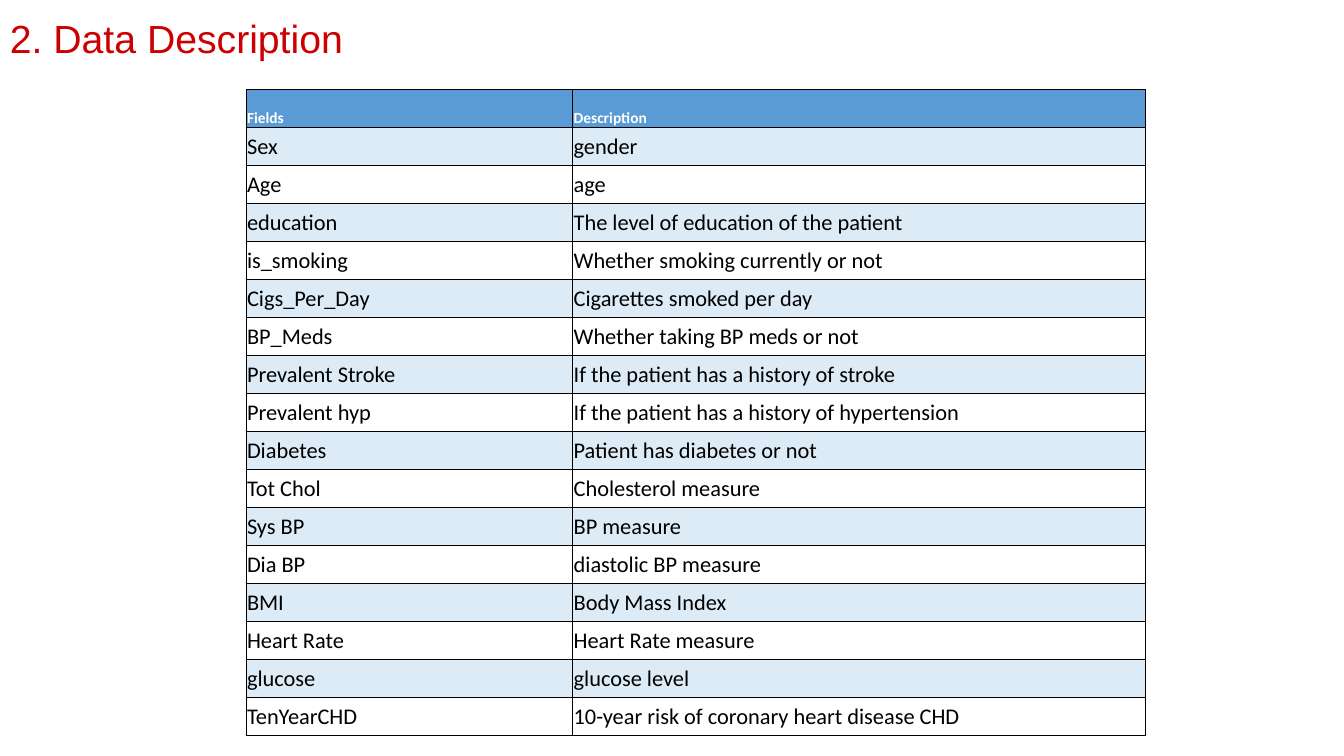
from lxml import etree
from pptx import Presentation
from pptx.dml.color import RGBColor
from pptx.enum import text
from pptx.oxml import ns
from pptx.util import Inches, Pt

TITLE = "2. Data Description"
ROWS = [
    ("Fields", "Description"),
    ("Sex", "gender"),
    ("Age", "age"),
    ("education", "The level of education of the patient"),
    ("is_smoking", "Whether smoking currently or not"),
    ("Cigs_Per_Day", "Cigarettes smoked per day"),
    ("BP_Meds", "Whether taking BP meds or not"),
    ("Prevalent Stroke", "If the patient has a history of stroke"),
    ("Prevalent hyp", "If the patient has a history of hypertension"),
    ("Diabetes", "Patient has diabetes or not"),
    ("Tot Chol", "Cholesterol measure"),
    ("Sys BP", "BP measure"),
    ("Dia BP", "diastolic BP measure"),
    ("BMI", "Body Mass Index"),
    ("Heart Rate", "Heart Rate measure"),
    ("glucose", "glucose level"),
    ("TenYearCHD", "10-year risk of coronary heart disease CHD"),
]
COLUMN_WIDTHS = [3.24, 5.68]
TABLE_LEFT, TABLE_TOP, TABLE_HEIGHT = 2.44, 0.89, 6.41
COLORS = {"title": "CC0000", "header": "5B9BD5", "band": "DDEBF7",
          "light": "FFFFFF", "ink": "000000"}


def set_font(paragraph, name, size, color, bold=False):
    font = paragraph.font
    font.name, font.size, font.bold = name, Pt(size), bold
    font.color.rgb = RGBColor.from_string(COLORS[color])


def add_borders(cell, color, points):
    properties = cell._tc.get_or_add_tcPr()
    for position, side in enumerate(("lnL", "lnR", "lnT", "lnB")):
        line = etree.Element(ns.qn(f"a:{side}"), w=str(Pt(points)))
        fill = etree.SubElement(line, ns.qn("a:solidFill"))
        etree.SubElement(fill, ns.qn("a:srgbClr"), val=COLORS[color])
        properties.insert(position, line)  # borders come before the fill


def fill_cell(cell, words, row_number):
    header = row_number == 0
    cell.text = words
    cell.margin_left = cell.margin_right = cell.margin_top = Inches(0.01)
    cell.margin_bottom = 0
    if header:
        cell.vertical_anchor = text.MSO_ANCHOR.BOTTOM
        set_font(cell.text_frame.paragraphs[0], "Calibri", 11, "light", bold=True)
    else:
        cell.vertical_anchor = text.MSO_ANCHOR.MIDDLE
        set_font(cell.text_frame.paragraphs[0], "Calibri", 16, "ink")
    if header or row_number % 2:
        cell.fill.solid()
        cell.fill.fore_color.rgb = RGBColor.from_string(
            COLORS["header" if header else "band"])
    else:
        cell.fill.background()
    add_borders(cell, "ink", 0.5)


def main():
    deck = Presentation()
    deck.slide_width, deck.slide_height = Inches(13.33), Inches(7.5)
    page = deck.slides.add_slide(deck.slide_layouts[6])

    # Title
    box = page.shapes.add_textbox(0, 0, Inches(12.42), Inches(0.84))
    frame = box.text_frame
    frame.word_wrap = True
    frame.margin_left = frame.margin_right = Inches(0.1)
    frame.margin_top = Inches(0.14)
    frame.text = TITLE
    set_font(frame.paragraphs[0], "Arial", 28, "title")

    # Field table
    table = page.shapes.add_table(
        len(ROWS), len(COLUMN_WIDTHS), Inches(TABLE_LEFT), Inches(TABLE_TOP),
        Inches(sum(COLUMN_WIDTHS)), Inches(TABLE_HEIGHT)).table
    for column, width in zip(table.columns, COLUMN_WIDTHS):
        column.width = Inches(width)
    for row_number, (row, entries) in enumerate(zip(table.rows, ROWS)):
        row.height = Inches(TABLE_HEIGHT / len(ROWS))
        for cell, words in zip(row.cells, entries):
            fill_cell(cell, words, row_number)

    deck.save("out.pptx")


if __name__ == "__main__":
    main()
